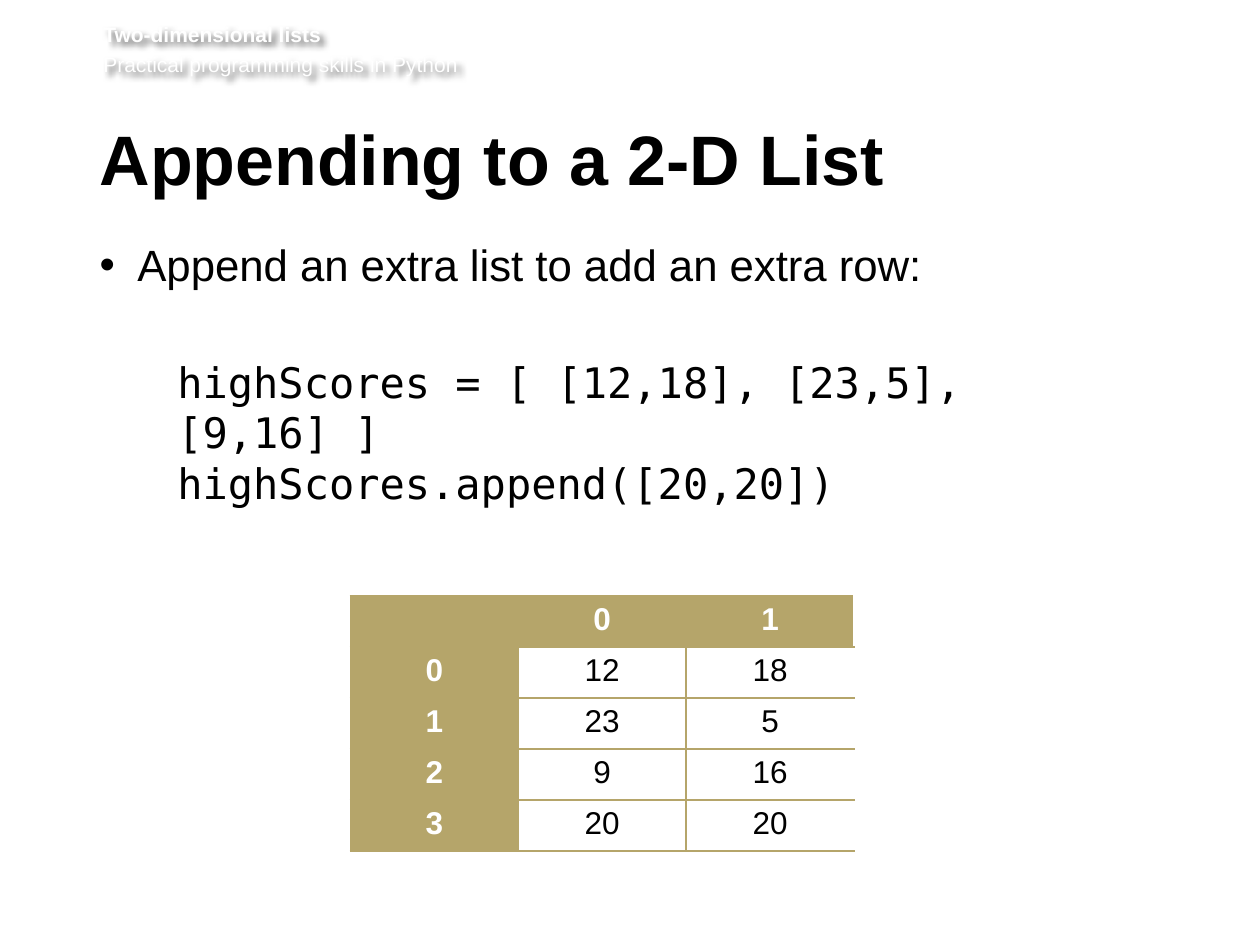
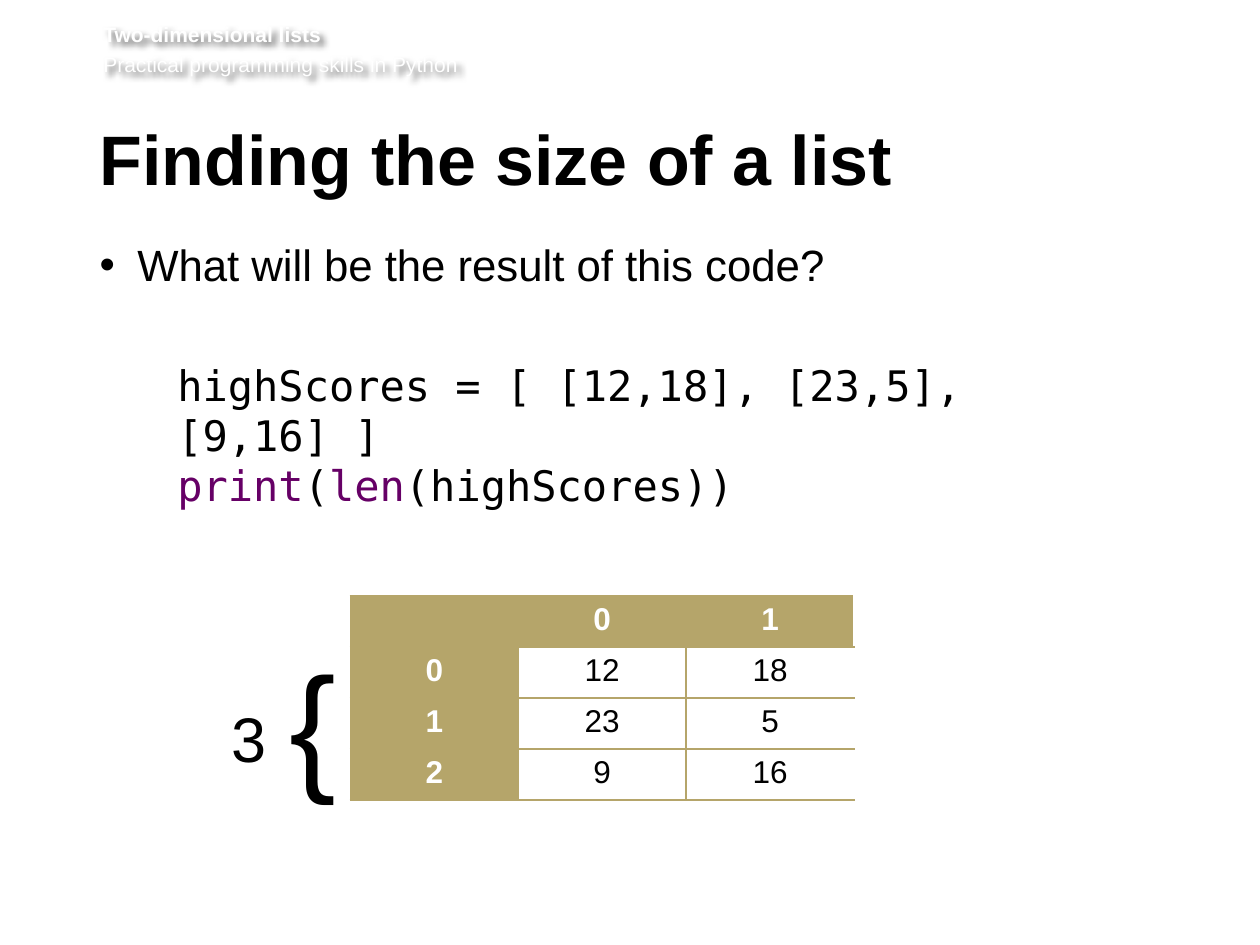
from dataclasses import dataclass

from lxml import etree
from pptx import Presentation
from pptx.dml.color import RGBColor
from pptx.enum.text import MSO_ANCHOR, MSO_AUTO_SIZE, PP_ALIGN
from pptx.oxml.ns import qn
from pptx.util import Inches, Pt

TOP = MSO_ANCHOR.TOP
GROW, FIXED = MSO_AUTO_SIZE.SHAPE_TO_FIT_TEXT, MSO_AUTO_SIZE.NONE
LEFT, CENTER = PP_ALIGN.LEFT, PP_ALIGN.CENTER

COLORS = {"text": "000000", "light": "FFFFFF", "gold": "B5A56A", "keyword": "660066"}
SANS, MONO = "Arial", "DejaVu Sans Mono"
TITLE_ONLY = 5
DEFAULT_INSETS = (0.1, 0.05, 0.1, 0.05)

# A run is its text and a colour key; a line is a list of runs
Run = tuple[str, str]
Line = list[Run]


@dataclass
class Box:
    left: float
    top: float
    width: float
    height: float

    def lengths(self) -> tuple:
        return tuple(Inches(v) for v in (self.left, self.top, self.width, self.height))


@dataclass
class Lesson:
    title: str
    point: str
    code: list[Line]
    code_box: Box
    scores: list[list[int]]
    row_count: str = ""


HEADER_BOX = Box(0.82, 0.17, 8.82, 0.49)
TITLE_BOX = Box(0.79, 0.99, 8.55, 0.73)
POINT_BOX = Box(0.79, 1.89, 8.53, 3.78)
COUNT_BOX = Box(1.74, 5.5, 0.48, 0.71)
BRACE_BOX = Box(2.2, 5, 0.6, 1.45)
TABLE_LEFT, TABLE_TOP, TABLE_WIDTH, ROW_HEIGHT = 2.78, 4.73, 4, 0.405

SCORES = [[12, 18], [23, 5], [9, 16]]
SCORES_CODE = "highScores = [ [12,18], [23,5], [9,16] ]"
LESSONS = [
    Lesson(
        title="Appending to a 2-D List",
        point="Append an extra list to add an extra row:",
        code=[[(SCORES_CODE + "\vhighScores.append([20,20])", "text")]],
        code_box=Box(1.31, 2.78, 7.63, 0.91),
        scores=SCORES + [[20, 20]],
    ),
    Lesson(
        title="Finding the size of a list",
        point="What will be the result of this code?",
        code=[
            [(SCORES_CODE, "text")],
            [("print", "keyword"), ("(", "text"), ("len", "keyword"),
             ("(highScores))", "text")],
        ],
        code_box=Box(1.31, 2.8, 7.63, 1.31),
        scores=SCORES,
        row_count="3",
    ),
]


def rgb(key: str) -> RGBColor:
    return RGBColor.from_string(COLORS[key])


def write(paragraph, line: str | Line, *, size: float, color: str = "text",
          font: str = SANS, bold: bool = False, align=LEFT, before: float = 0,
          after: float = 0, spacing=None) -> None:
    """Fill one paragraph with a string or with coloured runs."""
    paragraph.alignment = align
    paragraph.space_before, paragraph.space_after = Pt(before), Pt(after)
    paragraph.line_spacing = spacing
    runs = [(line, color)] if isinstance(line, str) else line
    for text, run_color in runs:
        for i, part in enumerate(text.split("\v")):
            if i:
                paragraph.add_line_break()
            run = paragraph.add_run()
            run.text = part
            run.font.name, run.font.size, run.font.bold = font, Pt(size), bold
            run.font.color.rgb = rgb(run_color)


def set_frame(frame, insets=DEFAULT_INSETS, wrap: bool = True, fit=FIXED) -> None:
    frame.margin_left, frame.margin_top, frame.margin_right, frame.margin_bottom = (
        Inches(v) for v in insets)
    frame.word_wrap, frame.auto_size, frame.vertical_anchor = wrap, fit, TOP


def add_text(slide, box: Box, line: str | Line, *, insets=DEFAULT_INSETS,
             wrap: bool = True, fit=FIXED, **text_format):
    shape = slide.shapes.add_textbox(*box.lengths())
    set_frame(shape.text_frame, insets, wrap, fit)
    write(shape.text_frame.paragraphs[0], line, **text_format)
    return shape


def add_header(slide) -> None:
    """Draw the course header with a soft shadow and keep it on the layout."""
    header = add_text(slide, HEADER_BOX, "Two-dimensional lists", insets=(0, 0, 0, 0.05),
                      size=12, color="light", bold=True, before=2.9)
    write(header.text_frame.add_paragraph(), "Practical programming skills in Python",
          size=12, color="light", before=2.9)
    effects = etree.SubElement(header.element.spPr, qn("a:effectLst"))
    shadow = etree.SubElement(effects, qn("a:outerShdw"), blurRad=str(Pt(4)),
                              dist=str(Pt(3)), dir="2700000", algn="tl", rotWithShape="0")
    shade = etree.SubElement(shadow, qn("a:srgbClr"), val=COLORS["text"])
    etree.SubElement(shade, qn("a:alpha"), val="60000")
    slide.slide_layout.shapes.element.append(header.element)


def add_title(slide, text: str) -> None:
    title = slide.shapes.title
    title.left, title.top, title.width, title.height = TITLE_BOX.lengths()
    set_frame(title.text_frame, (0, 0.05, 0.1, 0.05))
    write(title.text_frame.paragraphs[0], text, size=40, bold=True,
          after=15, spacing=Pt(39))


def add_point(slide, text: str) -> None:
    point = add_text(slide, POINT_BOX, text, insets=(0, 0, 0.1, 0.05), size=25, after=14)
    properties = point.text_frame.paragraphs[0]._p.get_or_add_pPr()
    properties.set("marL", str(Inches(0.3)))
    properties.set("indent", str(-Inches(0.3)))
    etree.SubElement(properties, qn("a:buFont"), typeface=SANS)
    etree.SubElement(properties, qn("a:buChar"), char="•")


def add_borders(cell, sides: str) -> None:
    properties = cell._tc.get_or_add_tcPr()
    for i, side in enumerate(sides):
        border = etree.Element(qn(f"a:ln{side}"), w=str(Pt(1)))
        fill = etree.SubElement(border, qn("a:solidFill"))
        etree.SubElement(fill, qn("a:srgbClr"), val=COLORS["gold"])
        properties.insert(i, border)


def add_scores(slide, scores: list[list[int]]) -> None:
    """Draw the scores with their row and column indexes as gold headings."""
    indexes = range(len(scores[0]))
    grid = [["", *indexes]] + [[i, *row] for i, row in enumerate(scores)]
    box = Box(TABLE_LEFT, TABLE_TOP, TABLE_WIDTH, ROW_HEIGHT * len(grid))
    table = slide.shapes.add_table(len(grid), len(grid[0]), *box.lengths()).table
    table.horz_banding = False
    table.first_col = True
    for r, row in enumerate(grid):
        for c, value in enumerate(row):
            cell = table.cell(r, c)
            heading = r == 0 or c == 0
            if heading:
                cell.fill.solid()
                cell.fill.fore_color.rgb = rgb("gold")
            else:
                cell.fill.background()
            add_borders(cell, "LTB" if c == len(row) - 1 else "LRTB")
            if value != "":
                write(cell.text_frame.paragraphs[0], str(value), size=18, bold=heading,
                      color="light" if heading else "text", align=CENTER)


def add_lesson(slide, lesson: Lesson) -> None:
    add_title(slide, lesson.title)
    add_point(slide, lesson.point)

    # Code, one paragraph a line
    code_format = {"size": 24, "font": MONO}
    code = add_text(slide, lesson.code_box, lesson.code[0], fit=GROW, **code_format)
    for line in lesson.code[1:]:
        write(code.text_frame.add_paragraph(), line, **code_format)

    # Row count, braced against the table
    if lesson.row_count:
        add_text(slide, COUNT_BOX, lesson.row_count, wrap=False, fit=GROW, size=36)
        add_text(slide, BRACE_BOX, "{", fit=GROW, size=80)
    add_scores(slide, lesson.scores)


def main() -> None:
    deck = Presentation()
    deck.slide_width, deck.slide_height = Inches(10), Inches(7.5)
    layout = deck.slide_layouts[TITLE_ONLY]
    slides = [deck.slides.add_slide(layout) for _ in LESSONS]
    add_header(slides[0])
    for slide, lesson in zip(slides, LESSONS):
        add_lesson(slide, lesson)
    deck.save("out.pptx")


if __name__ == "__main__":
    main()
